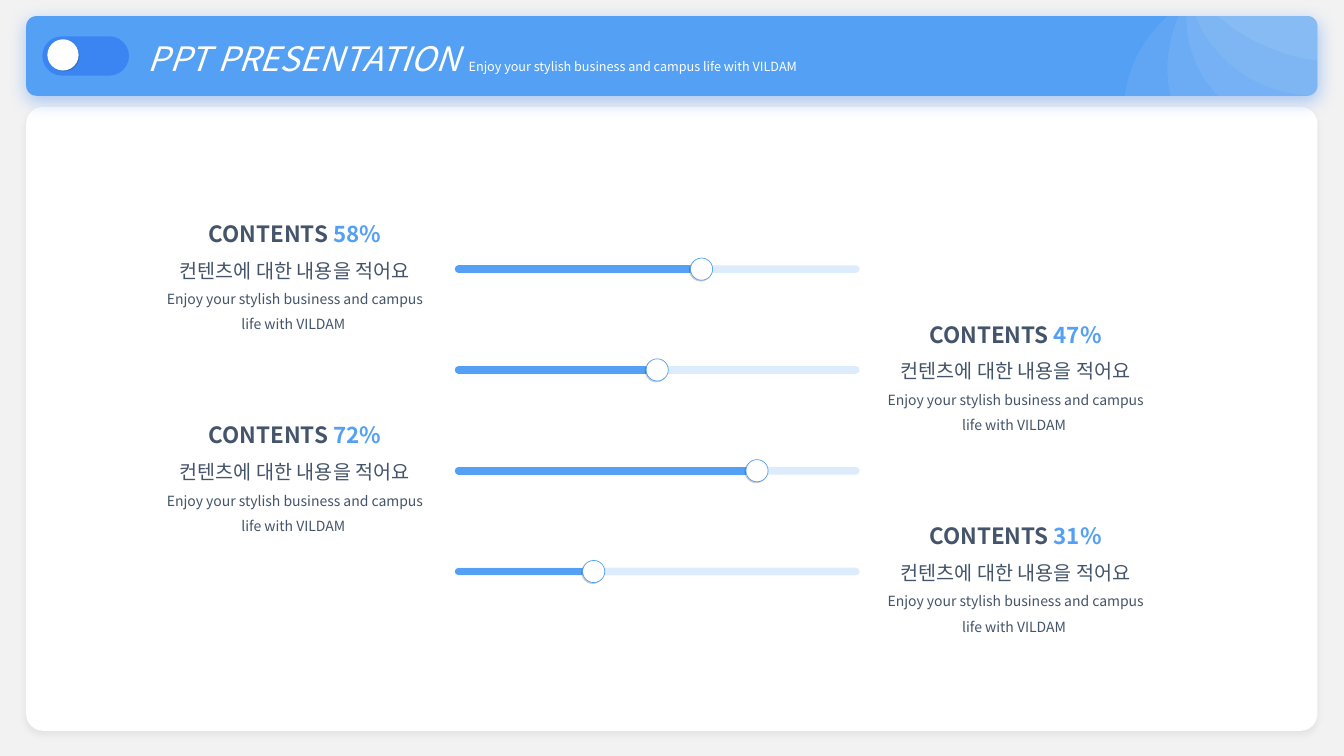
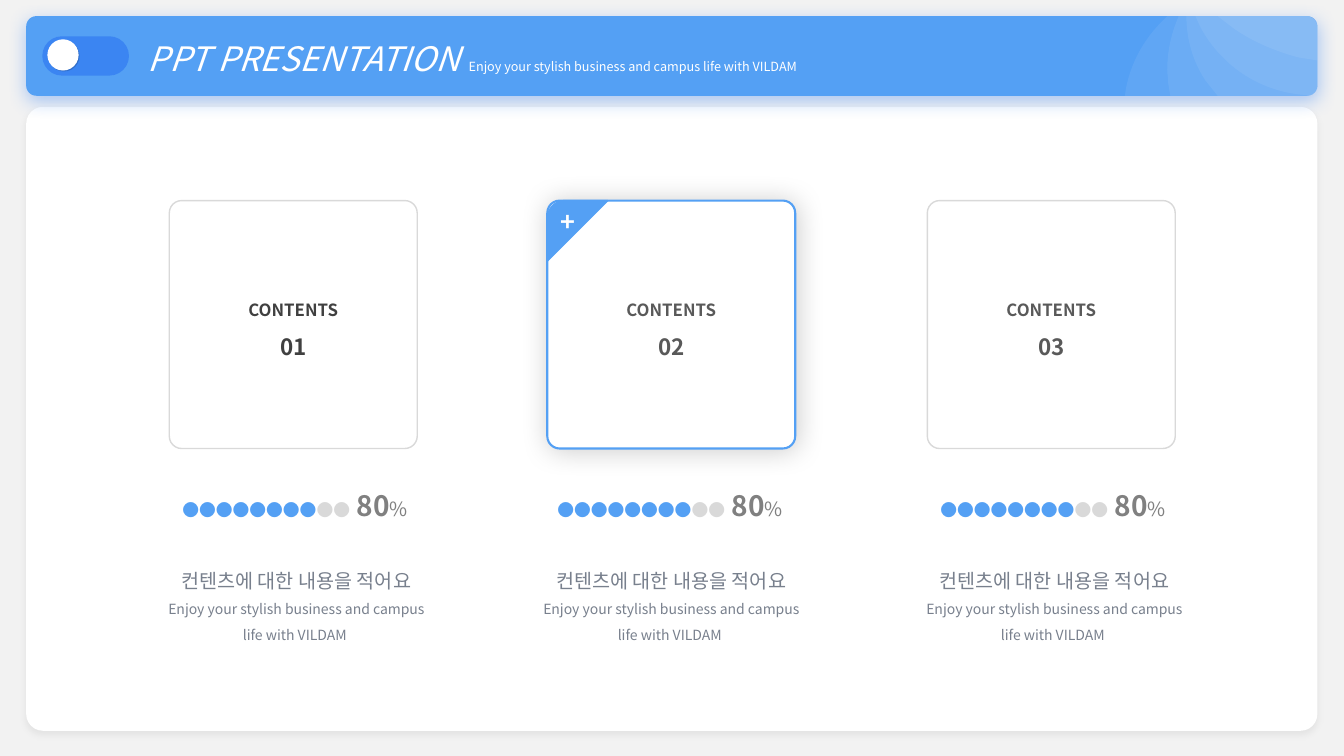
"""Build two slides of slider and card charts under a shared banner."""
import pptx
import pptx.dml.color
import pptx.enum.shapes
import pptx.enum.text
import pptx.oxml.ns
import pptx.util
from lxml import etree

RGBColor = pptx.dml.color.RGBColor
SHAPE = pptx.enum.shapes.MSO_SHAPE
ALIGN = pptx.enum.text.PP_ALIGN
ANCHOR = pptx.enum.text.MSO_ANCHOR
FIT = pptx.enum.text.MSO_AUTO_SIZE
Pt = pptx.util.Pt
qn = pptx.oxml.ns.qn

EMU_PER_PX = 9144
SLIDE_SIZE = (12192000, 6858000)

WHITE = RGBColor(0xFF, 0xFF, 0xFF)
BLACK = RGBColor(0x00, 0x00, 0x00)
BACKGROUND = RGBColor(0xF2, 0xF2, 0xF2)
BLUE = RGBColor(0x54, 0xA0, 0xF4)
DEEP_BLUE = RGBColor(0x3B, 0x85, 0xF2)
SLATE = RGBColor(0x44, 0x54, 0x6A)
BLUE_GRAY = RGBColor(0x78, 0x80, 0x8D)
LIGHT_GRAY = RGBColor(0xD9, 0xD9, 0xD9)
GRAY = RGBColor(0x80, 0x80, 0x80)
DARK_GRAY = RGBColor(0x59, 0x59, 0x59)
CHARCOAL = RGBColor(0x40, 0x40, 0x40)

FONT = "Noto Sans CJK KR"
TAGLINE = "Enjoy your stylish business and campus life with VILDAM"
KOREAN_LINE = "컨텐츠에 대한 내용을 적어요"

TOP_CORNER = [(1297, 16), (1302, 16, 1307, 21, 1307, 26)]
BOTTOM_CORNER = [(1307, 85), (1307, 91, 1302, 95, 1297, 95)]
RIGHT_SIDE = TOP_CORNER + BOTTOM_CORNER
PETALS = [
    [(1177, 16), *RIGHT_SIDE, (1208, 95), (1196, 80), (1184, 62, 1177, 40, 1177, 16)],
    [(1186, 16), *TOP_CORNER, (1307, 85), (1307, 89, 1305, 93, 1301, 94), (1300, 95), (1292, 94),
     (1248, 90, 1211, 64, 1191, 27)],
    [(1208, 16), *TOP_CORNER, (1307, 60), (1288, 57), (1266, 51, 1244, 42, 1225, 29)],
    [(1169, 16), *RIGHT_SIDE, (1161, 95), (1159, 83), (1159, 78, 1158, 74, 1158, 69),
     (1158, 51, 1162, 33, 1169, 17)],
    [(1158, 16), *RIGHT_SIDE, (1116, 95), (1117, 88), (1122, 62, 1135, 39, 1153, 21)],
]

SLIDER_VALUES = [58, 47, 72, 31]
SLIDER_TOP, SLIDER_STEP = 267, 100
TRACK_LEFT, TRACK_WIDTH, KNOB_SIZE = 455, 394, 22
LABEL_LEFTS = [155, 870]

CARD_TOP, CARD_SIZE = 199, 246
CARD_LEFTS = [168, 543, 920]
CAPTION_LEFTS = [146, 518, 898]
CARD_STYLES = [
    {"color": CHARCOAL, "line": (LIGHT_GRAY, 1)},
    {"color": DARK_GRAY, "line": (BLUE, 1.5), "shadow": (BLACK, 20, 20, 1, 45)},
    {"color": DARK_GRAY, "line": (LIGHT_GRAY, 1)},
]


def px(length):
    """Convert px to EMU."""
    return pptx.util.Emu(length * EMU_PER_PX)


def set_alpha(fill_parent, percent):
    """Make the solid colour inside an XML element partly transparent."""
    color = next(fill_parent.iter(qn("a:srgbClr")))
    etree.SubElement(color, qn("a:alpha")).set("val", str(percent * 1000))


def add_shadow(shape, color, percent, blur, distance, angle):
    """Give a shape an outer shadow."""
    effects = shape._element.spPr.find(qn("a:effectLst"))
    shadow = etree.SubElement(effects, qn("a:outerShdw"))
    values = {"blurRad": Pt(blur), "dist": Pt(distance), "dir": angle * 60000,
              "algn": "ctr", "rotWithShape": 0}
    for name, value in values.items():
        shadow.set(name, str(value))
    etree.SubElement(shadow, qn("a:srgbClr")).set("val", str(color))
    set_alpha(shadow, percent)


def paint(shape, fill, line=None, shadow=None):
    """Set the fill, outline and shadow of a shape."""
    shape.fill.solid()
    shape.fill.fore_color.rgb = fill
    if line:
        shape.line.color.rgb, shape.line.width = line[0], Pt(line[1])
    else:
        shape.line.fill.background()
    shape.shadow.inherit = False
    if shadow:
        add_shadow(shape, *shadow)


def add_box(shapes, kind, bounds, fill, corner=None, **look):
    """Add a painted preset shape."""
    shape = shapes.add_shape(kind, *map(px, bounds))
    if corner is not None:
        shape.adjustments[0] = corner
    paint(shape, fill, **look)
    return shape


def bend(segment, curve, left, top):
    """Turn a straight path segment into a cubic curve."""
    segment.tag = qn("a:cubicBezTo")
    for child in list(segment):
        segment.remove(child)
    for x, y in zip(curve[::2], curve[1::2]):
        point = etree.SubElement(segment, qn("a:pt"))
        point.set("x", str(px(x) - left))
        point.set("y", str(px(y) - top))


def add_outline(shapes, outline, fill, **look):
    """Add a closed freeform from points and cubic curves."""
    start, *others = [tuple(map(px, piece[-2:])) for piece in outline]
    builder = shapes.build_freeform(*start)
    builder.add_line_segments(others, close=True)
    shape = builder.convert_to_shape()
    segments = list(shape._element.iter(qn("a:lnTo")))
    for segment, piece in zip(segments, outline[1:]):
        if len(piece) == 6:
            curve = etree.SubElement(segment.getparent(), qn("a:cubicBezTo"))
            segment.getparent().replace(segment, curve)
            bend(curve, piece, shape.left, shape.top)
    paint(shape, fill, **look)
    return shape


def add_line(shapes, left, right, y, color, width, alpha=None):
    """Add a horizontal line with round ends."""
    connector = shapes.add_connector(
        pptx.enum.shapes.MSO_CONNECTOR.STRAIGHT, px(left), px(y), px(right), px(y))
    connector.line.color.rgb, connector.line.width = color, Pt(width)
    line = connector.line._get_or_add_ln()
    line.set("cap", "rnd")
    if alpha:
        set_alpha(line, alpha)
    etree.SubElement(connector._element.spPr, qn("a:effectLst"))


def style(size, color, **others):
    """Return the format values of a run."""
    return {"name": FONT, "size": Pt(size), "color": color, "bold": False, **others}


def add_run(paragraph, text, formats):
    """Add a run and apply its format values."""
    run = paragraph.add_run()
    run.text = text
    for name, value in formats.items():
        if name == "color":
            run.font.color.rgb = value
        else:
            setattr(run.font, name, value)


def write(shape, paragraphs, alignment=ALIGN.CENTER, spacing=1.5, **frame_formats):
    """Fill a shape with paragraphs, each a list of text and format pairs."""
    frame = shape.text_frame
    for name, value in {"word_wrap": True, **frame_formats}.items():
        setattr(frame, name, value)
    for index, runs in enumerate(paragraphs):
        paragraph = frame.add_paragraph() if index else frame.paragraphs[0]
        paragraph.alignment, paragraph.line_spacing = alignment, spacing
        for text, formats in runs:
            add_run(paragraph, text, formats)


def add_text(shapes, bounds, paragraphs, **formats):
    """Add a text box that grows with its text."""
    box = shapes.add_textbox(*map(px, bounds))
    write(box, paragraphs, auto_size=FIT.SHAPE_TO_FIT_TEXT, **formats)


def description(color):
    """Return the two paragraphs that explain an item."""
    return [[(KOREAN_LINE, style(14, color))], [(TAGLINE + " ", style(10, color))]]


def add_banner(shapes):
    """Add the title banner with its switch and petals."""
    banner = add_box(shapes, SHAPE.ROUNDED_RECTANGLE, (26, 16, 1281, 79), BLUE, 0.128,
                     shadow=(DEEP_BLUE, 40, 13, 3, 90))
    title = [("PPT PRESENTATION", style(24, WHITE, italic=True)),
             (" ", style(28, WHITE, italic=True)), (TAGLINE, style(9, WHITE))]
    write(banner, [title], ALIGN.LEFT, 1.0, vertical_anchor=ANCHOR.MIDDLE)
    banner.text_frame.paragraphs[0]._p.get_or_add_pPr().set("marL", str(px(108)))
    switch = shapes.add_group_shape().shapes
    add_box(switch, SHAPE.ROUNDED_RECTANGLE, (42, 36, 86, 39), DEEP_BLUE, 0.5)
    add_box(switch, SHAPE.OVAL, (47, 39, 31, 31), WHITE, shadow=(BLACK, 17, 0, 1, 45))
    petals = shapes.add_group_shape().shapes
    for outline in PETALS:
        petal = add_outline(petals, outline, WHITE)
        set_alpha(petal._element.spPr, 7)


def add_framed_slide(presentation):
    """Add a slide with the shared background, panel and banner."""
    slide = presentation.slides.add_slide(presentation.slide_layouts[6])
    slide.background.fill.solid()
    slide.background.fill.fore_color.rgb = BACKGROUND
    add_box(slide.shapes, SHAPE.ROUNDED_RECTANGLE, (26, 106, 1281, 619), WHITE, 0.027,
            shadow=(BLACK, 5, 4, 3, 90))
    add_banner(slide.shapes)
    return slide.shapes


def add_slider(shapes, index, value):
    """Add a slider with its label on alternating sides."""
    offset = index * SLIDER_STEP
    y = SLIDER_TOP + offset
    heading = [("CONTENTS ", style(16, SLATE, bold=True)), (f"{value}%", style(16, BLUE, bold=True))]
    add_text(shapes, (LABEL_LEFTS[index % 2], 200 + offset, 275, 136),
             [heading, *description(SLATE)])
    value_x = TRACK_LEFT + round(TRACK_WIDTH * value / 100)
    add_line(shapes, TRACK_LEFT, TRACK_LEFT + TRACK_WIDTH, y, BLUE, 5.5, alpha=20)
    add_line(shapes, TRACK_LEFT, value_x, y, BLUE, 5.5)
    add_box(shapes, SHAPE.OVAL, (value_x + 1, y - KNOB_SIZE // 2, KNOB_SIZE, KNOB_SIZE), WHITE,
            line=(BLUE, 0.5), shadow=(BLACK, 20, 0, 1, 135))


def add_card(shapes, left, number, color, **look):
    """Add a numbered card."""
    card = add_box(shapes, SHAPE.ROUNDED_RECTANGLE, (left, CARD_TOP, CARD_SIZE, CARD_SIZE),
                   WHITE, 0.05, **look)
    write(card, [[("CONTENTS", style(12, color, bold=True))],
                 [(f"{number:02}", style(16, color, bold=True))]],
          vertical_anchor=ANCHOR.MIDDLE)


def add_corner_flag(shapes, left, top):
    """Add the plus flag in the corner of a card."""
    flag = add_outline(shapes, [(left + 17, top), (left + 60, top), (left, top + 60), (left, top + 17),
                                (left, top + 8, left + 8, top, left + 17, top)],
                       BLUE, line=(BLUE, 1))
    write(flag, [[("+", style(18, WHITE, bold=True))]], spacing=1.0,
          vertical_anchor=ANCHOR.MIDDLE, margin_left=0, margin_top=px(5),
          margin_right=px(20), margin_bottom=px(24))


def add_meter(shapes, left, percent):
    """Add a row of ten dots and its percentage."""
    filled = percent // 10
    runs = [("●" * filled, style(12, BLUE, bold=True)),
            ("●" * (10 - filled), style(12, LIGHT_GRAY, bold=True)),
            (f" {percent}", style(20, GRAY, bold=True)), ("%", style(14, GRAY))]
    add_text(shapes, (left, 480, 252, 44), [runs], alignment=ALIGN.LEFT, spacing=1.0,
             word_wrap=False)


def main():
    """Build and save the presentation."""
    presentation = pptx.Presentation()
    presentation.slide_width, presentation.slide_height = SLIDE_SIZE

    shapes = add_framed_slide(presentation)
    for index, value in enumerate(SLIDER_VALUES):
        add_slider(shapes, index, value)

    shapes = add_framed_slide(presentation)
    columns = zip(CARD_LEFTS, CAPTION_LEFTS, CARD_STYLES)
    for number, (card_left, caption_left, look) in enumerate(columns, start=1):
        add_card(shapes, card_left, number, **look)
        add_meter(shapes, caption_left + 25, 80)
        add_text(shapes, (caption_left, 548, 296, 96), description(BLUE_GRAY))
    add_corner_flag(shapes, CARD_LEFTS[1], CARD_TOP)

    presentation.save("out.pptx")


if __name__ == "__main__":
    main()
